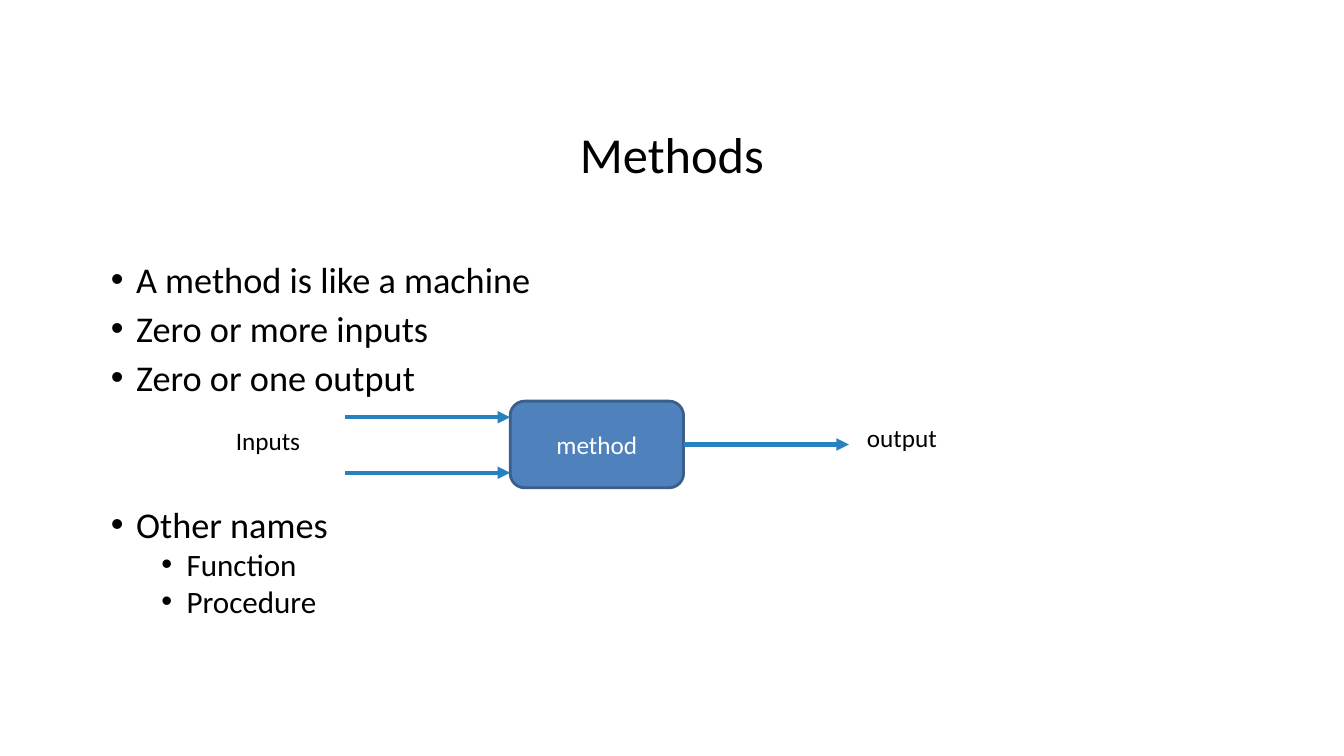
from lxml.etree import SubElement
from pptx import Presentation
from pptx.dml.color import RGBColor
from pptx.enum.shapes import MSO_CONNECTOR, MSO_SHAPE
from pptx.enum.text import MSO_ANCHOR, MSO_AUTO_SIZE, PP_ALIGN
from pptx.oxml.ns import qn
from pptx.util import Inches, Pt

COLORS = {"text": "000000", "white": "FFFFFF", "box": "4F81BD",
          "border": "3A5F8C", "arrow": "2582BE"}
BULLETS = [("A method is like a machine", 0, 0), ("Zero or more inputs", 0, 10),
           ("Zero or one output", 0, 10), ("Other names", 0, 80),
           ("Function", 1, 5), ("Procedure", 1, 5)]


def rgb(name):
    """Return the named colour."""
    return RGBColor.from_string(COLORS[name])


def write(p, text, size=18, color="text", align=PP_ALIGN.LEFT, spacing=1.0, before=0):
    """Put formatted text in a paragraph."""
    p.alignment = align
    p.line_spacing = spacing
    p.space_before = Pt(before)
    r = p.add_run()
    r.text = text
    r.font.name = "Calibri"
    r.font.size = Pt(size)
    r.font.color.rgb = rgb(color)


def place(sp, x, y, w, h, anchor=MSO_ANCHOR.TOP):
    """Move a text shape to its box and return its text frame."""
    sp.left, sp.top, sp.width, sp.height = map(Inches, (x, y, w, h))
    tf = sp.text_frame
    tf.word_wrap = True
    tf.auto_size = MSO_AUTO_SIZE.NONE
    tf.vertical_anchor = anchor
    return tf


def add_bullet(p, level):
    """Give a paragraph a hanging round bullet."""
    p.level = level
    pPr = p._p.get_or_add_pPr()
    pPr.set("marL", str(Inches(0.25 + 0.5 * level)))
    pPr.set("indent", str(Inches(-0.25)))
    SubElement(SubElement(pPr, qn("a:buClr")), qn("a:srgbClr"), val=COLORS["text"])
    SubElement(pPr, qn("a:buFont"), typeface="Arial")
    SubElement(pPr, qn("a:buChar"), char="•")


def add_title(s, x, y, w, h):
    """Fill the title placeholder."""
    tf = place(s.shapes.title, x, y, w, h, MSO_ANCHOR.MIDDLE)
    write(tf.paragraphs[0], "Methods", size=36, align=PP_ALIGN.CENTER, spacing=0.9)


def add_body(s, x, y, w, h):
    """Fill the body placeholder with the bullet list."""
    tf = place(s.placeholders[1], x, y, w, h)
    for i, (text, level, before) in enumerate(BULLETS):
        p = tf.add_paragraph() if i else tf.paragraphs[0]
        add_bullet(p, level)
        write(p, text, size=22.2 if level else 25.9, spacing=0.8, before=before)


def add_arrow(s, x, y, length):
    """Draw a horizontal arrow pointing right."""
    line = s.shapes.add_connector(MSO_CONNECTOR.STRAIGHT, Inches(x), Inches(y),
                                  Inches(x + length), Inches(y))
    line.line.color.rgb = rgb("arrow")
    line.line.width = Pt(3)
    SubElement(line.line._get_or_add_ln(), qn("a:tailEnd"), type="triangle")
    SubElement(line._element.spPr, qn("a:effectLst"))
    return line


def add_label(s, text, x, y, w, h):
    """Add a plain label."""
    tf = place(s.shapes.add_textbox(0, 0, 0, 0), x, y, w, h)
    write(tf.paragraphs[0], text)


def add_machine(s, x, y, w, h, arrow=1.64):
    """Draw the method box with its inputs and output."""
    sp = s.shapes.add_shape(MSO_SHAPE.ROUNDED_RECTANGLE, 0, 0, 0, 0)
    sp.shadow.inherit = False
    sp.fill.solid()
    sp.fill.fore_color.rgb = rgb("box")
    sp.line.color.rgb = rgb("border")
    sp.line.width = Pt(2)
    tf = place(sp, x, y, w, h, MSO_ANCHOR.MIDDLE)
    write(tf.paragraphs[0], "method", color="white", align=PP_ALIGN.CENTER)

    for dy in (0.16, 0.71):
        add_arrow(s, x - arrow, y + dy, arrow)
    add_arrow(s, x + w, y + h / 2, arrow).begin_connect(sp, 3)

    add_label(s, "Inputs", x - arrow - 1.18, y + 0.19, 1.18, 0.4)
    add_label(s, "output", x + w + arrow + 0.08, y + 0.16, 1.02, 0.7)


def main():
    """Build and save the slide."""
    prs = Presentation()
    prs.slide_width, prs.slide_height = Inches(13.33), Inches(7.5)
    s = prs.slides.add_slide(prs.slide_layouts[1])
    add_title(s, 1, 0.68, 11.33, 1.75)
    add_body(s, 1, 2.59, 11.33, 3.74)
    add_machine(s, 5.06, 3.98, 1.72, 0.86)
    prs.save("out.pptx")


if __name__ == "__main__":
    main()
